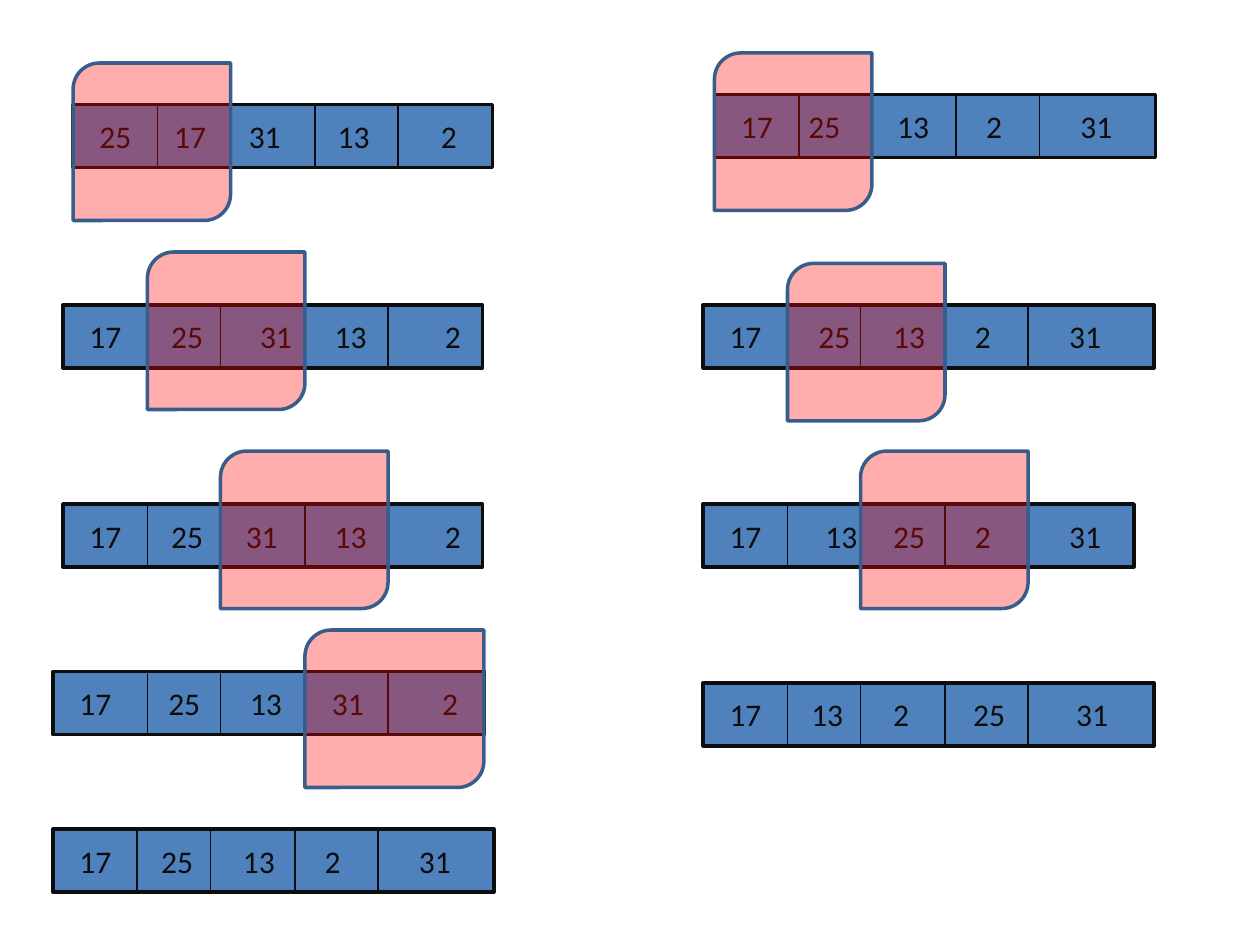
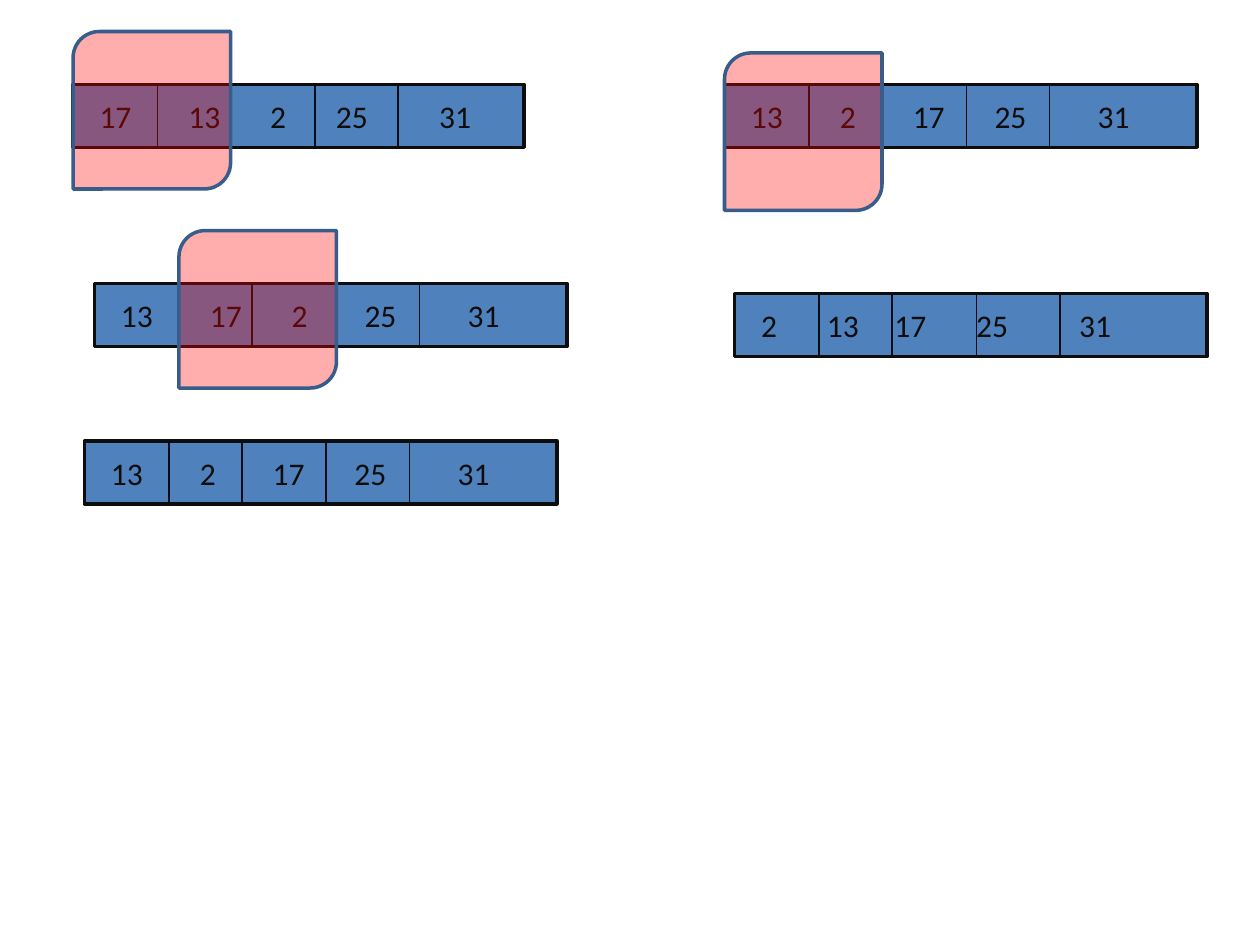
from dataclasses import dataclass
from itertools import accumulate

from lxml import etree
from pptx import Presentation
from pptx.dml.color import RGBColor
from pptx.enum.shapes import MSO_CONNECTOR, MSO_SHAPE
from pptx.enum.text import MSO_ANCHOR, PP_ALIGN
from pptx.oxml.ns import qn
from pptx.util import Inches, Pt

RECTANGLE = MSO_SHAPE.RECTANGLE
DIAGONAL_ROUND = MSO_SHAPE.ROUND_2_DIAG_RECTANGLE
STRAIGHT = MSO_CONNECTOR.STRAIGHT
MIDDLE = MSO_ANCHOR.MIDDLE
LEFT = PP_ALIGN.LEFT

ARRAY_BLUE = RGBColor(0x4F, 0x81, 0xBD)
INK = RGBColor(0x0D, 0x0D, 0x0D)
DIVIDER_INK = RGBColor(0x07, 0x0D, 0x13)
WINDOW_RED = RGBColor(0xFF, 0x00, 0x00)
WINDOW_EDGE = RGBColor(0x38, 0x5D, 0x8A)

FONT = "Calibri"
FONT_SIZE = 18
ROW_HEIGHT = 0.5
WINDOW_HEIGHT = 1.25
WINDOW_OPACITY = 32
DIVIDERS = (0.67, 1.25, 1.92, 2.58)
TEXT_INDENT = 0.21
DIGIT_WIDTH = 0.507 * FONT_SIZE / 72
GAP_UNIT = 0.226 * FONT_SIZE / 72


@dataclass
class ArrayRow:
    left: float
    top: float
    width: float
    numbers: tuple
    gaps: tuple
    compared: int | None = None
    rise: float = 0.42
    shift: float = 0

    def edges(self):
        inner = [self.left + self.shift + offset for offset in DIVIDERS]
        return [self.left, *inner, self.left + self.width]

    def tab_stops(self):
        return accumulate(
            len(str(number)) * DIGIT_WIDTH + gap * GAP_UNIT
            for number, gap in zip(self.numbers, self.gaps)
        )


SORTING_PASSES = (
    (
        ArrayRow(0.58, 0.83, 3.33, (25, 17, 31, 13, 2), (6, 6, 8, 10), 0, 0.33),
        ArrayRow(0.5, 2.42, 3.33, (17, 25, 31, 13, 2), (7, 8, 6, 11), 1),
        ArrayRow(0.5, 4, 3.33, (17, 25, 31, 13, 2), (7, 6, 8, 11), 2),
        ArrayRow(0.42, 5.33, 3.42, (17, 25, 13, 31, 2), (8, 7, 7, 11), 3, 0.33, 0.08),
        ArrayRow(0.42, 6.58, 3.5, (17, 25, 13, 2, 31), (7, 7, 7, 11)),
        ArrayRow(5.67, 0.75, 3.5, (17, 25, 13, 2, 31), (5, 8, 8, 11), 0, 0.33),
        ArrayRow(5.58, 2.42, 3.58, (17, 25, 13, 2, 31), (8, 6, 7, 11), 1, 0.33),
        ArrayRow(5.58, 4, 3.42, (17, 13, 25, 2, 31), (9, 5, 7, 11), 2),
        ArrayRow(5.58, 5.42, 3.58, (17, 13, 2, 25, 31), (7, 7, 9, 10)),
    ),
    (
        ArrayRow(0.58, 0.67, 3.58, (17, 13, 2, 25, 31), (8, 7, 7, 10), 0),
        ArrayRow(0.75, 2.25, 3.75, (13, 17, 2, 25, 31), (8, 7, 8, 10), 1),
        ArrayRow(0.67, 3.5, 3.75, (13, 2, 17, 25, 31), (8, 8, 7, 10)),
        ArrayRow(5.75, 0.67, 3.75, (13, 2, 17, 25, 31), (8, 8, 7, 10), 0, 0.25),
        ArrayRow(5.83, 2.33, 3.75, (2, 13, 17, 25, 31), (7, 5, 7, 10)),
    ),
)


class SortingDeck:
    def __init__(self):
        self.deck = Presentation()
        self.deck.slide_width = Inches(10)
        self.deck.slide_height = Inches(7.5)
        self.page = None

    def add_page(self):
        self.page = self.deck.slides.add_slide(self.deck.slide_layouts[6])

    def add_box(self, kind, left, top, width, height, fill, edge):
        box = self.page.shapes.add_shape(
            kind, Inches(left), Inches(top), Inches(width), Inches(height)
        )
        box.shadow.inherit = False
        box.fill.solid()
        box.fill.fore_color.rgb = fill
        box.line.color.rgb = edge
        box.line.width = Pt(2)
        return box

    def add_numbers(self, box, row):
        frame = box.text_frame
        frame.word_wrap = True
        frame.vertical_anchor = MIDDLE
        frame.margin_left = Inches(TEXT_INDENT)
        para = frame.paragraphs[0]
        para.alignment = LEFT
        tabs = etree.SubElement(para._p.get_or_add_pPr(), qn("a:tabLst"))
        for stop in row.tab_stops():
            etree.SubElement(tabs, qn("a:tab"), pos=str(Inches(stop)), algn="l")
        para.text = "\t".join(map(str, row.numbers))
        for span in para.runs:
            span.font.name = FONT
            span.font.size = Pt(FONT_SIZE)
            span.font.color.rgb = INK

    def add_divider(self, across, top):
        divider = self.page.shapes.add_connector(
            STRAIGHT, Inches(across), Inches(top), Inches(across), Inches(top + ROW_HEIGHT)
        )
        divider.line.color.rgb = DIVIDER_INK
        divider.line.width = Pt(1)
        etree.SubElement(divider._element.spPr, qn("a:effectLst"))

    def add_window(self, row):
        edges = row.edges()
        left, right = edges[row.compared], edges[row.compared + 2]
        window = self.add_box(
            DIAGONAL_ROUND, left, row.top - row.rise, right - left, WINDOW_HEIGHT,
            WINDOW_RED, WINDOW_EDGE,
        )
        color = window._element.spPr.find(qn("a:solidFill"))[0]
        etree.SubElement(color, qn("a:alpha"), val=str(WINDOW_OPACITY * 1000))

    def add_row(self, row):
        box = self.add_box(
            RECTANGLE, row.left, row.top, row.width, ROW_HEIGHT, ARRAY_BLUE, INK
        )
        self.add_numbers(box, row)
        for across in row.edges()[1:-1]:
            self.add_divider(across, row.top)
        if row.compared is not None:
            self.add_window(row)


def main():
    sorting = SortingDeck()
    for rows in SORTING_PASSES:
        sorting.add_page()
        for row in rows:
            sorting.add_row(row)
    sorting.deck.save("out.pptx")


if __name__ == "__main__":
    main()
